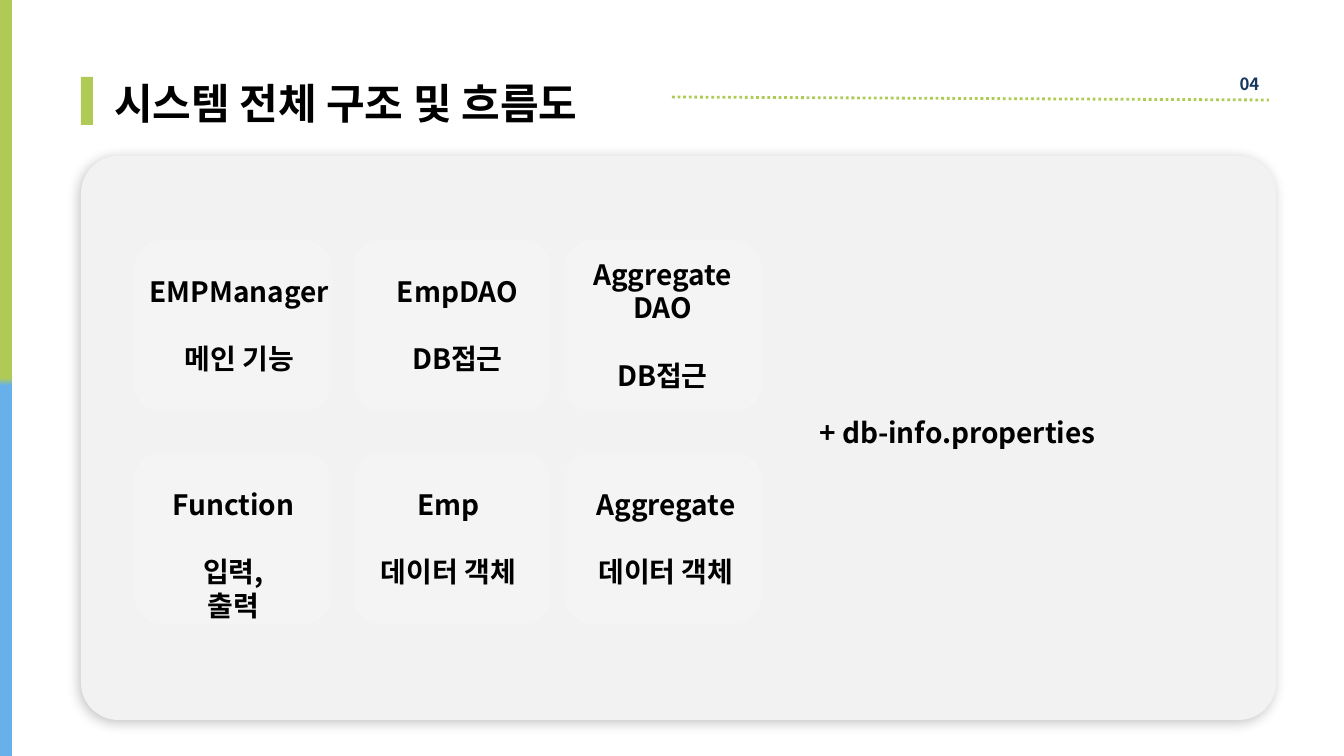
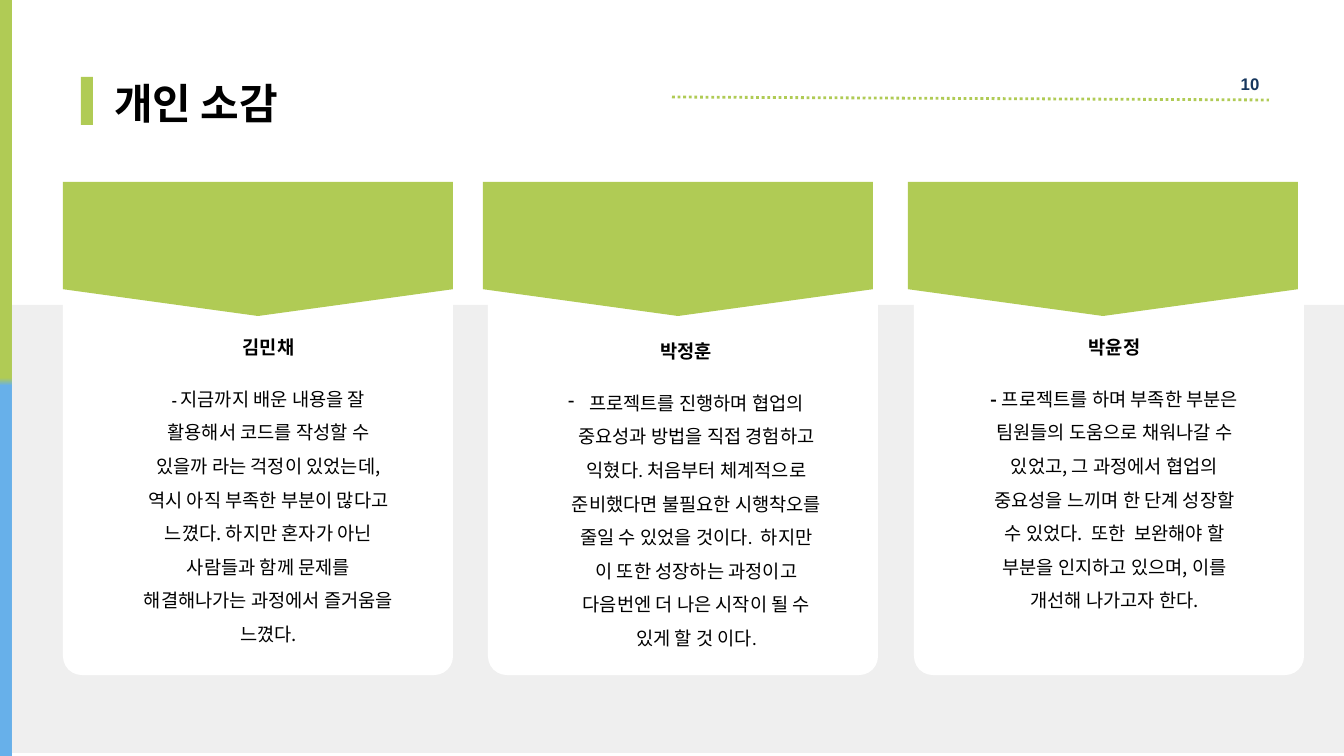
from lxml import etree
from pptx import Presentation
from pptx.dml.color import RGBColor
from pptx.enum.dml import MSO_LINE
from pptx.enum.shapes import MSO_CONNECTOR, MSO_SHAPE
from pptx.enum.text import MSO_ANCHOR, MSO_AUTO_SIZE, PP_ALIGN
from pptx.oxml.ns import qn
from pptx.util import Emu, Pt

RECT = MSO_SHAPE.RECTANGLE
ROUNDED = MSO_SHAPE.ROUNDED_RECTANGLE
PROCESS = MSO_SHAPE.FLOWCHART_PROCESS
PENNANT = MSO_SHAPE.FLOWCHART_OFFPAGE_CONNECTOR
STRAIGHT = MSO_CONNECTOR.STRAIGHT
DOTTED = MSO_LINE.ROUND_DOT
TOP = MSO_ANCHOR.TOP
GROW, FIXED = MSO_AUTO_SIZE.SHAPE_TO_FIT_TEXT, MSO_AUTO_SIZE.NONE
LEFT, CENTER, RIGHT = PP_ALIGN.LEFT, PP_ALIGN.CENTER, PP_ALIGN.RIGHT

SCALE = 914400 / 67.2
WIDTH, HEIGHT = 1344, 756
TITLE_ONLY = 5
SANS, KOREAN, LATIN = "Arial", "Noto Sans CJK KR", "Calibri"
COLORS = {
    "green": "B0CB55", "blue": "67B0EA", "navy": "17375E", "black": "000000",
    "white": "FFFFFF", "panel": "F2F2F2", "card": "F4F4F4", "band": "D9D9D9",
}

# column, row, heading, role, text box (dx, dy, width, height) within its card
MODULES = [
    (0, 0, "EMPManager", "메인 기능", (6, 31, 199, 109)),
    (1, 0, "EmpDAO", "DB접근", (33, 31, 143, 107)),
    (2, 0, "AggregateDAO", "DB접근", (18, 14, 161, 141)),
    (0, 1, "Function", "입력,\v출력", (28, 32, 143, 107)),
    (1, 1, "Emp", "데이터 객체", (11, 32, 169, 109)),
    (2, 1, "Aggregate", "데이터 객체", (18, 32, 168, 109)),
]

# name, dash size (None for a bullet), review, pennant dx, text (dx, dy, width)
REVIEWS = [
    ("김민채", 16,
     "지금까지 배운 내용을 잘 활용해서 코드를 작성할 수 있을까 라는 걱정이 있었는데, "
     "역시 아직 부족한 부분이 많다고 느꼈다. 하지만 혼자가 아닌 사람들과 함께 문제를 "
     "해결해나가는 과정에서 즐거움을 느꼈다.", 0, (71, 151, 269)),
    ("박정훈", None,
     "프로젝트를 진행하며 협업의 중요성과 방법을 직접 경험하고 익혔다. 처음부터 "
     "체계적으로 준비했다면 불필요한 시행착오를 줄일 수 있었을 것이다.  하지만 이 또한 "
     "성장하는 과정이고 다음번엔 더 나은 시작이 될 수 있게 할 것 이다.", -5, (55, 155, 286)),
    ("박윤정", 20,
     "프로젝트를 하며 부족한 부분은 팀원들의 도움으로 채워나갈 수 있었고, 그 과정에서 "
     "협업의 중요성을 느끼며 한 단계 성장할 수 있었다.  또한  보완해야 할 부분을 "
     "인지하고 있으며, 이를 개선해 나가고자 한다.", -6, (66, 151, 269)),
]


def px(length):
    return Emu(round(length * SCALE))


def rgb(name):
    return RGBColor.from_string(COLORS[name])


def add_block(slide, kind, box, color, radius=None):
    block = slide.shapes.add_shape(kind, *map(px, box))
    block.shadow.inherit = False
    block.fill.solid()
    block.fill.fore_color.rgb = rgb(color)
    block.line.fill.background()
    if radius is not None:
        block.adjustments[0] = radius
    return block


def write_run(paragraph, text, size, face=KOREAN, bold=True, color="black"):
    paragraph_start = len(paragraph.runs)
    for number, part in enumerate(text.split("\v")):
        if number:
            paragraph.add_line_break()
        paragraph.add_run().text = part
    for run in paragraph.runs[paragraph_start:]:
        for attribute, value in {"size": Pt(size), "bold": bold, "name": face}.items():
            setattr(run.font, attribute, value)
        run.font.color.rgb = rgb(color)
        east_asian = etree.SubElement(run.font._element, qn("a:ea"))
        east_asian.set("typeface", KOREAN)


def add_text_frame(slide, box):
    frame = slide.shapes.add_textbox(*map(px, box)).text_frame
    frame.word_wrap = True
    frame.auto_size = GROW
    return frame


def add_paragraph(frame, align, gap=None, first=False):
    paragraph = frame.paragraphs[0] if first else frame.add_paragraph()
    paragraph.alignment = align
    if gap:
        paragraph.space_before = Pt(gap)
    return paragraph


def add_side_bar(slide):
    bar = add_block(slide, RECT, (0, 0, 12, HEIGHT), "green")
    bar.fill.gradient()
    bar.fill.gradient_angle = 270
    for stop, color, position in zip(bar.fill.gradient_stops, ("green", "blue"), (0.5, 0.51)):
        stop.color.rgb = rgb(color)
        stop.position = position


def add_header(slide, title, title_width, number, number_face):
    add_block(slide, RECT, (81, 77, 12, 48), "green")

    heading = slide.shapes.title
    for side, length in zip(("left", "top", "width", "height"), (114, 73, title_width, 55)):
        setattr(heading, side, px(length))
    frame = heading.text_frame
    settings = {"margin_left": 0, "margin_top": 0, "margin_right": 0, "margin_bottom": 0,
                "vertical_anchor": TOP, "auto_size": FIXED, "word_wrap": True}
    for attribute, value in settings.items():
        setattr(frame, attribute, value)
    line = add_paragraph(frame, LEFT, first=True)
    line.line_spacing = Pt(58.5)
    write_run(line, title, 45, SANS)

    rule = slide.shapes.add_connector(STRAIGHT, px(672), px(97), px(1269), px(100))
    rule.line.color.rgb = rgb("green")
    rule.line.width = Pt(3)
    rule.line.dash_style = DOTTED
    etree.SubElement(rule._element.spPr, qn("a:effectLst"))

    page = add_text_frame(slide, (1230, 70, 36, 27))
    write_run(add_paragraph(page, RIGHT, first=True), number, 18, number_face, color="navy")


def start_slide(deck, *header):
    slide = deck.slides.add_slide(deck.slide_layouts[TITLE_ONLY])
    add_side_bar(slide)
    add_header(slide, *header)
    return slide


def cast_shadow(block):
    effects = block._element.spPr.find(qn("a:effectLst"))
    shadow = etree.SubElement(effects, qn("a:outerShdw"), blurRad=str(Pt(13)),
                              dist=str(Pt(3)), dir=str(120 * 60000), rotWithShape="0")
    color = etree.SubElement(shadow, qn("a:srgbClr"), val=COLORS["black"])
    etree.SubElement(color, qn("a:alpha"), val="23000")


def add_module(slide, left, top, heading, role, text_box):
    add_block(slide, ROUNDED, (left, top, 198, 172), "card", 0.17)
    dx, dy, width, height = text_box
    frame = add_text_frame(slide, (left + dx, top + dy, width, height))
    write_run(add_paragraph(frame, CENTER, first=True), heading, 30)
    write_run(add_paragraph(frame, CENTER, gap=36), role, 30)


def add_structure(slide, left, top, width, height):
    cast_shadow(add_block(slide, ROUNDED, (left, top, width, height), "panel", 0.066))
    columns, rows = (53, 272, 483), (84, 296)
    for column, row, heading, role, text_box in MODULES:
        add_module(slide, left + columns[column], top + rows[row], heading, role, text_box)
    settings_file = add_text_frame(slide, (left + 703, top + 256, 347, 41))
    write_run(add_paragraph(settings_file, CENTER, first=True), "+ db-info.properties", 30)


def hang_dash(paragraph):
    properties = paragraph._p.get_or_add_pPr()
    properties.set("marL", str(px(21)))
    properties.set("indent", str(-px(21)))
    etree.SubElement(properties, qn("a:buChar"), char="-")


def add_review(slide, left, top, name, dash_size, review, pennant_dx, text_box):
    add_block(slide, ROUNDED, (left, top + 72, 390, 421), "white", 0.048)
    add_block(slide, PENNANT, (left + pennant_dx, top, 390, 134), "green")
    dx, dy, width = text_box
    frame = add_text_frame(slide, (left + dx, top + dy, width, 316))
    write_run(add_paragraph(frame, CENTER, first=True), name, 20)
    body = add_paragraph(frame, CENTER, gap=19)
    body.line_spacing = 1.5
    if dash_size:
        write_run(body, "- ", dash_size)
    else:
        hang_dash(body)
    write_run(body, review, 20, KOREAN if dash_size else LATIN, bold=False)


def add_reviews(slide, left, top):
    band = add_block(slide, PROCESS, (12, top + 123, WIDTH - 12, 448), "band")
    tint = band._element.spPr.find(qn("a:solidFill"))[0]
    etree.SubElement(tint, qn("a:alpha"), val="40000")
    for column, review in enumerate(REVIEWS):
        add_review(slide, left + column * 851 // 2, top, *review)


def main():
    deck = Presentation()
    deck.slide_width, deck.slide_height = px(WIDTH), px(HEIGHT)
    structure = start_slide(deck, "시스템 전체 구조 및 흐름도", 609, "04", KOREAN)
    add_structure(structure, 81, 156, 1195, 564)
    impressions = start_slide(deck, "개인 소감", 354, "10", SANS)
    add_reviews(impressions, 63, 182)
    deck.save("out.pptx")


if __name__ == "__main__":
    main()
